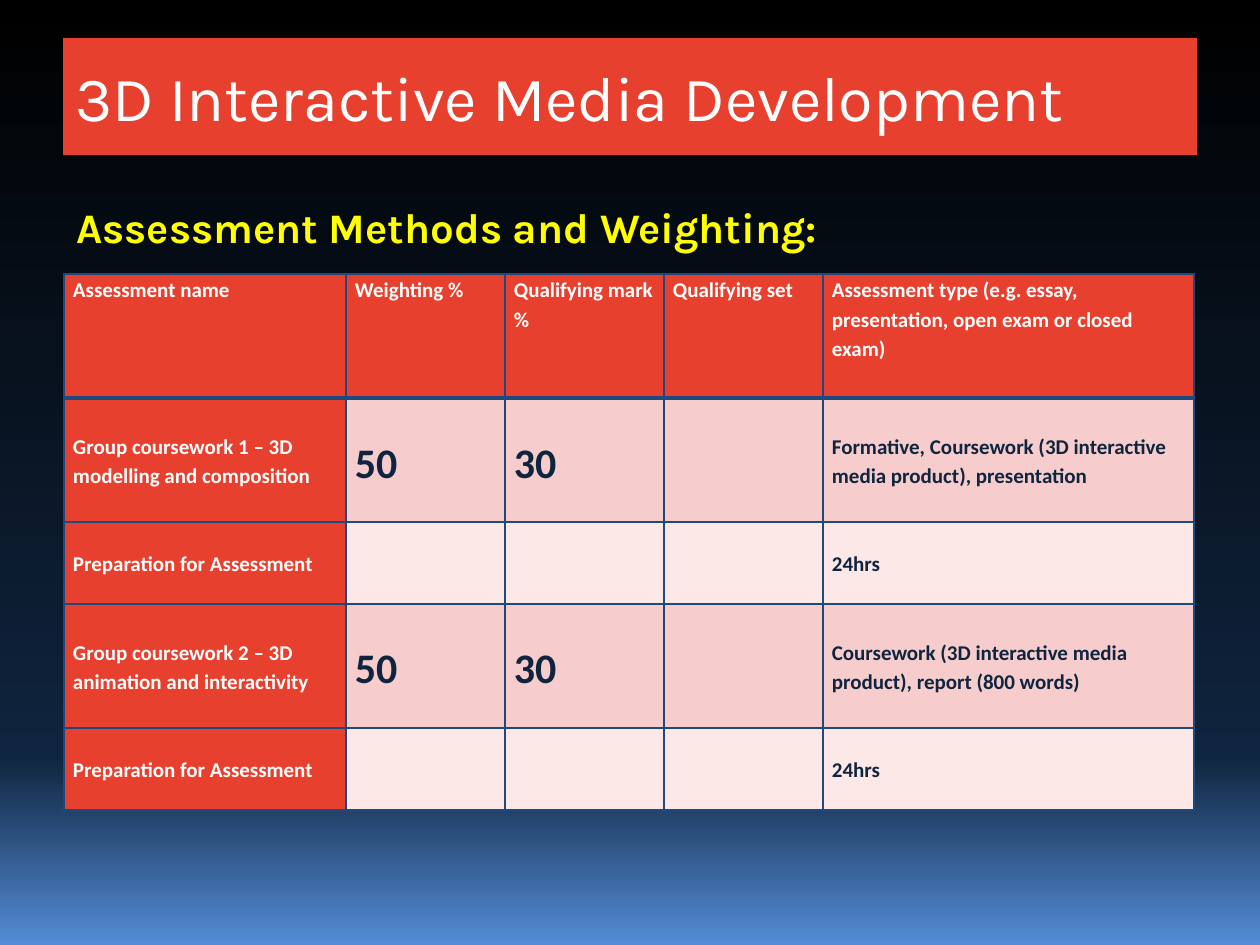
from dataclasses import dataclass

from lxml import etree
from pptx import Presentation
from pptx.dml.color import RGBColor
from pptx.enum.text import MSO_ANCHOR, MSO_AUTO_SIZE, PP_ALIGN
from pptx.oxml.ns import qn
from pptx.util import Emu, Pt

TOP, MIDDLE = MSO_ANCHOR.TOP, MSO_ANCHOR.MIDDLE
LEFT = PP_ALIGN.LEFT
NO_AUTOFIT = MSO_AUTO_SIZE.NONE
TITLE_ONLY_LAYOUT = 5
EMU_PER_PX = 914400 / 126


@dataclass(frozen=True)
class Theme:
    red: str = "E8402E"
    pink: str = "F6CDCC"
    blush: str = "FBE8E7"
    navy: str = "0F243E"
    border: str = "1F497D"
    white: str = "FFFFFF"
    yellow: str = "FFFF00"
    heading_font: str = "Karla"
    table_font: str = "Calibri"
    title_size: int = 36
    subtitle_size: int = 24
    mark_size: int = 24
    cell_size: int = 12
    backdrop: tuple = ((0, "000000"), (80, "0F243E"), (100, "538CD5"))


THEME = Theme()

COLUMN_WIDTHS = (282, 159, 159, 159, 371)
ROW_HEIGHTS = (124, 124, 82, 124, 82)
MARK_COLUMNS = (1, 2)
ASSESSMENTS = (
    ("Assessment name", "Weighting %", "Qualifying mark %", "Qualifying set",
     "Assessment type (e.g. essay, presentation, open exam or closed exam)"),
    ("Group coursework 1 – 3D modelling and composition", "50", "30", "",
     "Formative, Coursework (3D interactive media product), presentation"),
    ("Preparation for Assessment", "", "", "", "24hrs"),
    ("Group coursework 2 – 3D animation and interactivity", "50", "30", "",
     "Coursework (3D interactive media product), report (800 words)"),
    ("Preparation for Assessment", "", "", "", "24hrs"),
)


def px(length):
    return Emu(round(length * EMU_PER_PX))


def rgb(colour):
    return RGBColor.from_string(colour)


def write(frame, text, *, font, size, colour, bold=False, spacing=None):
    para = frame.paragraphs[0]
    para.alignment = LEFT
    para.line_spacing = spacing
    span = para.add_run()
    span.text = text
    span.font.name = font
    span.font.size = Pt(size)
    span.font.bold = bold
    span.font.color.rgb = rgb(colour)


def paint_background(slide):
    fill = slide.background.fill
    fill.gradient()
    fill.gradient_angle = 270
    stops = slide.element.find(".//" + qn("a:gsLst"))
    stops.clear()
    for percent, colour in THEME.backdrop:
        stop = etree.SubElement(stops, qn("a:gs"), pos=str(percent * 1000))
        etree.SubElement(stop, qn("a:srgbClr"), val=colour)


def add_title(slide, text):
    title = slide.shapes.title
    title.left, title.top, title.width, title.height = map(px, (63, 38, 1134, 117))
    title.fill.solid()
    title.fill.fore_color.rgb = rgb(THEME.red)
    frame = title.text_frame
    frame.auto_size = NO_AUTOFIT
    frame.vertical_anchor = MIDDLE
    write(frame, text, font=THEME.heading_font, size=THEME.title_size,
          colour=THEME.white)


def add_subtitle(slide, text):
    box = slide.shapes.add_textbox(*map(px, (64, 195, 1145, 115)))
    box.text_frame.word_wrap = True
    write(box.text_frame, text, font=THEME.heading_font,
          size=THEME.subtitle_size, colour=THEME.yellow, bold=True)


def set_borders(cell, **widths):
    """Draw the cell's edges; widths are points by edge tag."""
    properties = cell._tc.get_or_add_tcPr()
    for edge, width in widths.items():
        line = etree.SubElement(properties, qn(f"a:{edge}"), w=str(Pt(width)))
        fill = etree.SubElement(line, qn("a:solidFill"))
        etree.SubElement(fill, qn("a:srgbClr"), val=THEME.border)


def format_cell(cell, text, row, column):
    is_heading = row == 0 or column == 0
    set_borders(cell, lnL=1, lnR=1, lnT=3 if row == 1 else 1,
                lnB=3 if row == 0 else 1)
    band = THEME.pink if row % 2 else THEME.blush
    cell.fill.solid()
    cell.fill.fore_color.rgb = rgb(THEME.red if is_heading else band)
    cell.margin_left = cell.margin_right = px(9)
    cell.margin_top = cell.margin_bottom = 0
    cell.vertical_anchor = TOP if row == 0 else MIDDLE
    if text:
        is_mark = row > 0 and column in MARK_COLUMNS
        write(cell.text_frame, text, font=THEME.table_font, bold=True,
              size=THEME.mark_size if is_mark else THEME.cell_size,
              colour=THEME.white if is_heading else THEME.navy, spacing=1.15)


def add_assessment_table(slide):
    table = slide.shapes.add_table(
        len(ROW_HEIGHTS), len(COLUMN_WIDTHS), px(64), px(274),
        px(sum(COLUMN_WIDTHS)), px(sum(ROW_HEIGHTS))).table
    for column, width in zip(table.columns, COLUMN_WIDTHS):
        column.width = px(width)
    for row, height in zip(table.rows, ROW_HEIGHTS):
        row.height = px(height)
    for row, texts in enumerate(ASSESSMENTS):
        for column, text in enumerate(texts):
            format_cell(table.cell(row, column), text, row, column)


def main():
    deck = Presentation()
    deck.slide_width, deck.slide_height = px(1260), px(945)
    slide = deck.slides.add_slide(deck.slide_layouts[TITLE_ONLY_LAYOUT])
    paint_background(slide)
    add_title(slide, "3D Interactive Media Development")
    add_subtitle(slide, "Assessment Methods and Weighting:")
    add_assessment_table(slide)
    deck.save("out.pptx")


if __name__ == "__main__":
    main()
